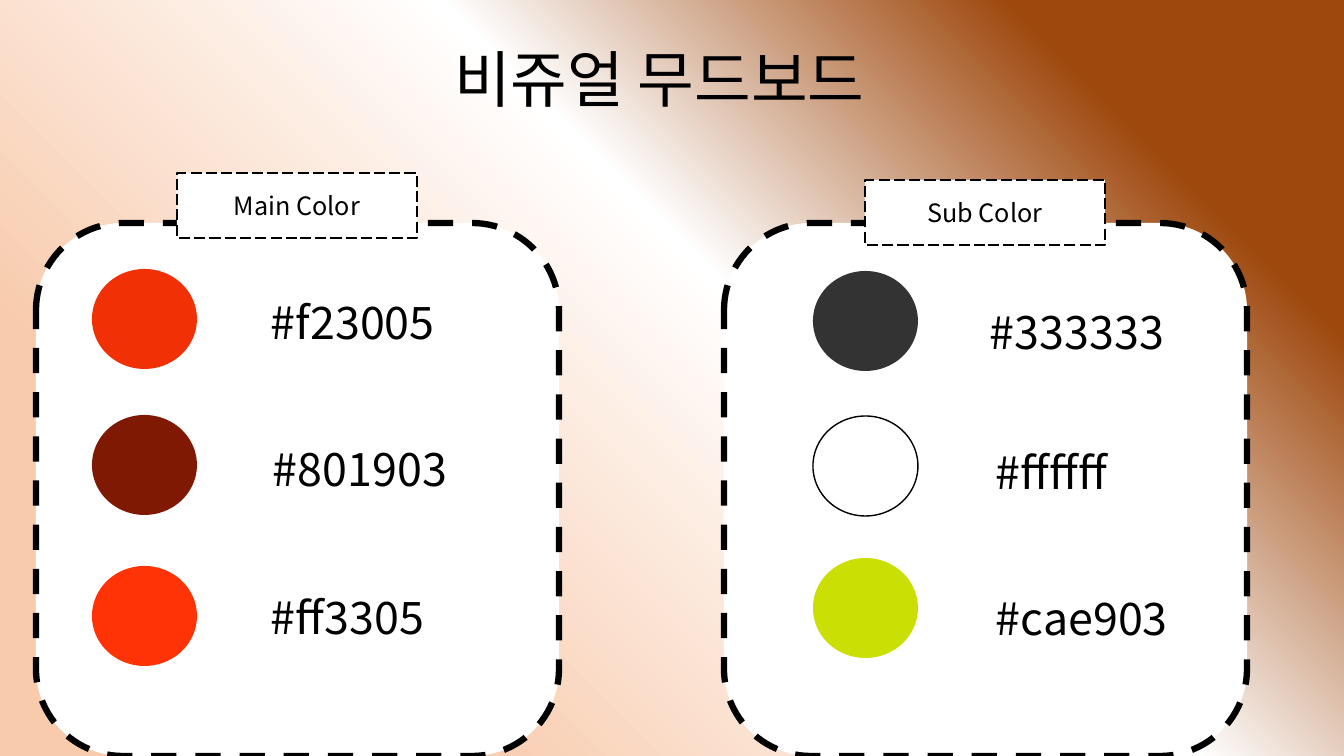
import copy

import pptx
import pptx.dml.color
import pptx.enum.dml
import pptx.enum.shapes
import pptx.enum.text
import pptx.oxml.ns
import pptx.util
from lxml import etree

RGB = pptx.dml.color.RGBColor
SHAPE = pptx.enum.shapes.MSO_SHAPE
DASH = pptx.enum.dml.MSO_LINE
ALIGN = pptx.enum.text.PP_ALIGN
MIDDLE = pptx.enum.text.MSO_ANCHOR.MIDDLE
qn = pptx.oxml.ns.qn

PX_PER_INCH = 100.8
FONT = "Noto Sans CJK KR"
BLACK = RGB(0x00, 0x00, 0x00)
WHITE = RGB(0xFF, 0xFF, 0xFF)
PEACH = RGB(0xF8, 0xCB, 0xAD)
BROWN = RGB(0x9E, 0x48, 0x0E)
ORANGE_RED = RGB(0xF2, 0x30, 0x05)
MAROON = RGB(0x80, 0x19, 0x03)
BRIGHT_RED = RGB(0xFF, 0x33, 0x05)
CHARCOAL = RGB(0x33, 0x33, 0x33)
LIME = RGB(0xCA, 0xDF, 0x03)

CARD_TOP, CARD_WIDTH, CARD_HEIGHT = 223, 523, 533

MAIN_SWATCHES = [
    (ORANGE_RED, "#f23005", 46, 225, 66),
    (MAROON, "#801903", 192, 227, 213),
    (BRIGHT_RED, "#ff3305", 343, 225, 361),
]
SUB_SWATCHES = [
    (CHARCOAL, "#333333", 48, 256, 76),
    (WHITE, "#ffffff", 193, 262, 216),
    (LIME, "#cae903", 335, 262, 362),
]


def px(length):
    return pptx.util.Inches(length / PX_PER_INCH)


def write(shape, text, size, align):
    frame = shape.text_frame
    frame.word_wrap = True
    frame.vertical_anchor = MIDDLE
    paragraph = frame.paragraphs[0]
    paragraph.text = text
    paragraph.alignment = align
    font = paragraph.font
    font.size = pptx.util.Pt(size)
    font.color.rgb = BLACK
    font.name = FONT
    defaults = paragraph._p.find(qn("a:pPr")).find(qn("a:defRPr"))
    etree.SubElement(defaults, qn("a:ea")).set("typeface", FONT)
    return paragraph


def add_figure(slide, kind, box, fill, line_width=0, dash=None):
    figure = slide.shapes.add_shape(kind, *map(px, box))
    figure.shadow.inherit = False
    figure.fill.solid()
    figure.fill.fore_color.rgb = fill
    if line_width:
        figure.line.color.rgb = BLACK
        figure.line.width = pptx.util.Pt(line_width)
        figure.line.dash_style = dash
    else:
        figure.line.fill.background()
    return figure


def paint_background(slide):
    fill = slide.background.fill
    fill.gradient()
    fill.gradient_angle = 45
    stop_list = slide.element.find(".//" + qn("a:gsLst"))
    stop_list.append(copy.deepcopy(stop_list[0]))
    stops = [(0.21, PEACH), (0.57, WHITE), (0.84, BROWN)]
    for stop, (position, color) in zip(fill.gradient_stops, stops):
        stop.position = position
        stop.color.rgb = color


def place_title(slide, box):
    title = slide.shapes.title
    title.left, title.top, title.width, title.height = map(px, box)
    write(title, "비쥬얼 무드보드", 44, ALIGN.CENTER).line_spacing = 0.9


def add_palette(slide, box, heading, heading_rise, swatch_inset, swatches):
    left, top, width, height = box
    add_figure(slide, SHAPE.ROUNDED_RECTANGLE, box, WHITE, 4.5, DASH.DASH)
    tag_width = 240
    tag_box = (left + (width - tag_width) // 2, top - heading_rise, tag_width, 65)
    tag = add_figure(slide, SHAPE.RECTANGLE, tag_box, WHITE, 1, DASH.LONG_DASH)
    write(tag, heading, 18, ALIGN.CENTER)
    for color, code, swatch_drop, code_inset, code_drop in swatches:
        swatch_box = (left + swatch_inset, top + swatch_drop, 105, 100)
        outline = 1 if color == WHITE else 0
        add_figure(slide, SHAPE.OVAL, swatch_box, color, outline)
        code_box = (left + code_inset, top + code_drop, 260, 65)
        label = slide.shapes.add_textbox(*map(px, code_box))
        write(label, code, 32, ALIGN.LEFT)


def main():
    deck = pptx.Presentation()
    deck.slide_width, deck.slide_height = px(1344), px(756)
    slide = deck.slides.add_slide(deck.slide_layouts.get_by_name("Title Only"))
    paint_background(slide)
    place_title(slide, (80, 10, 1159, 146))
    card = (CARD_TOP, CARD_WIDTH, CARD_HEIGHT)
    add_palette(slide, (36, *card), "Main Color", 50, 56, MAIN_SWATCHES)
    add_palette(slide, (724, *card), "Sub Color", 43, 89, SUB_SWATCHES)
    deck.save("out.pptx")


if __name__ == "__main__":
    main()
